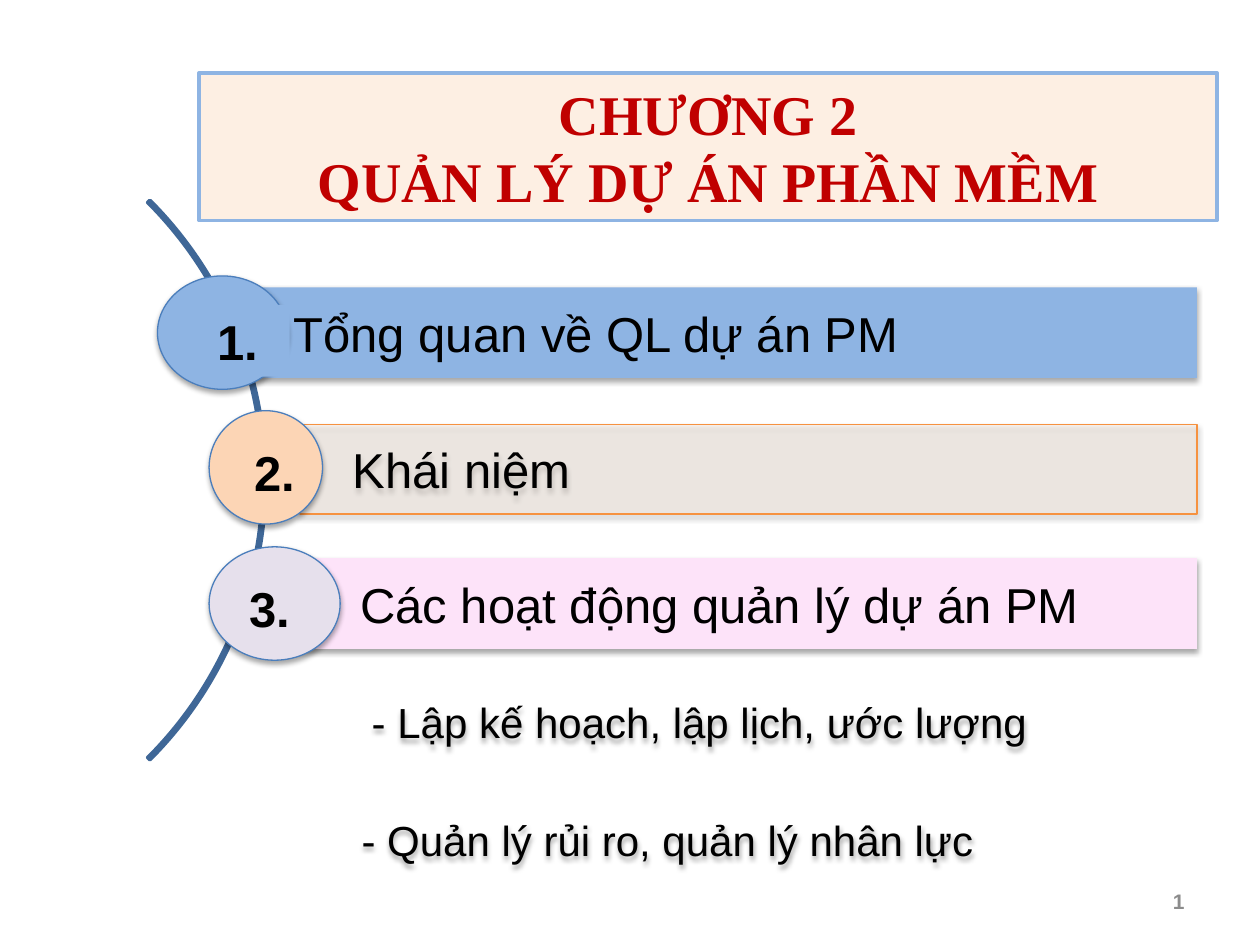
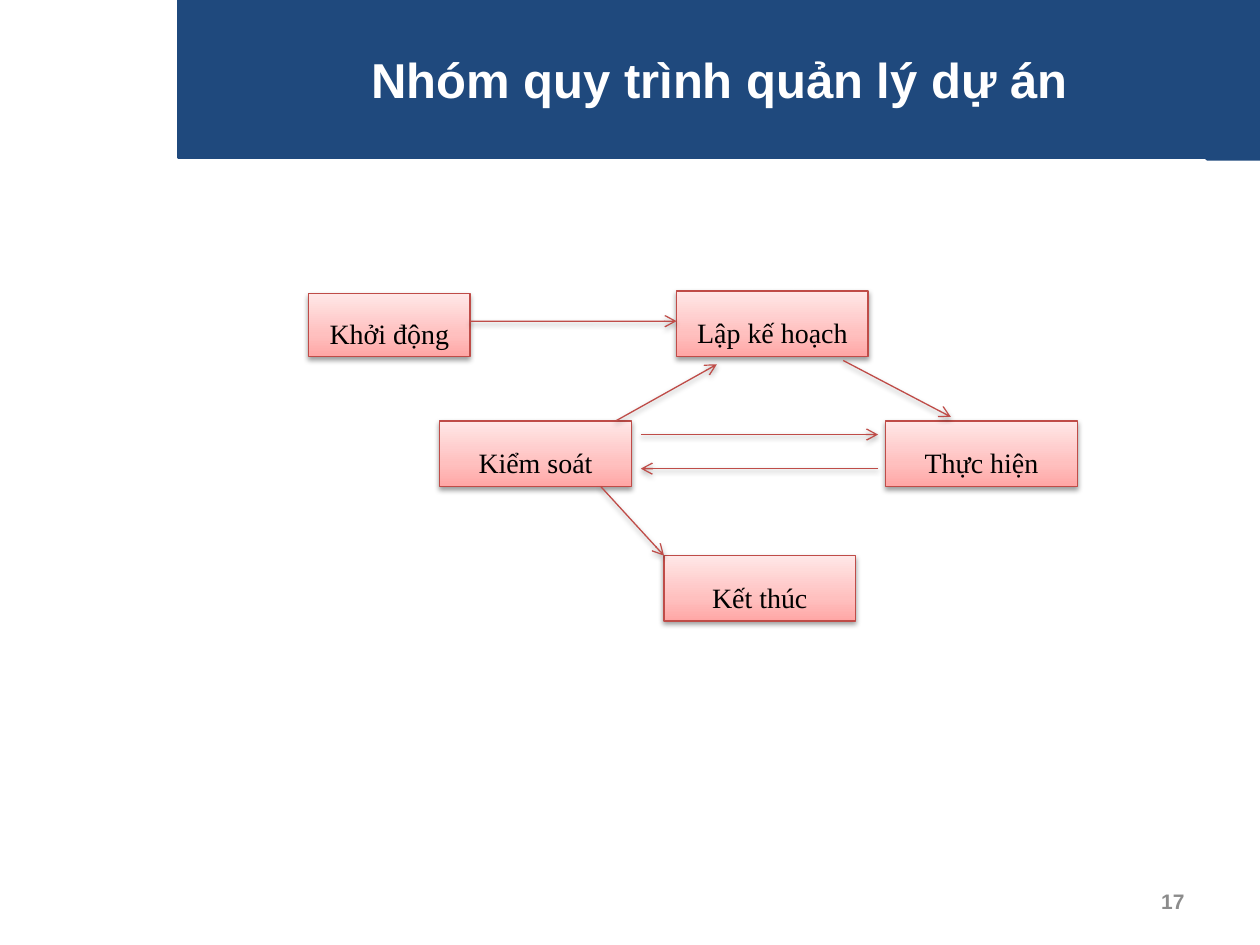
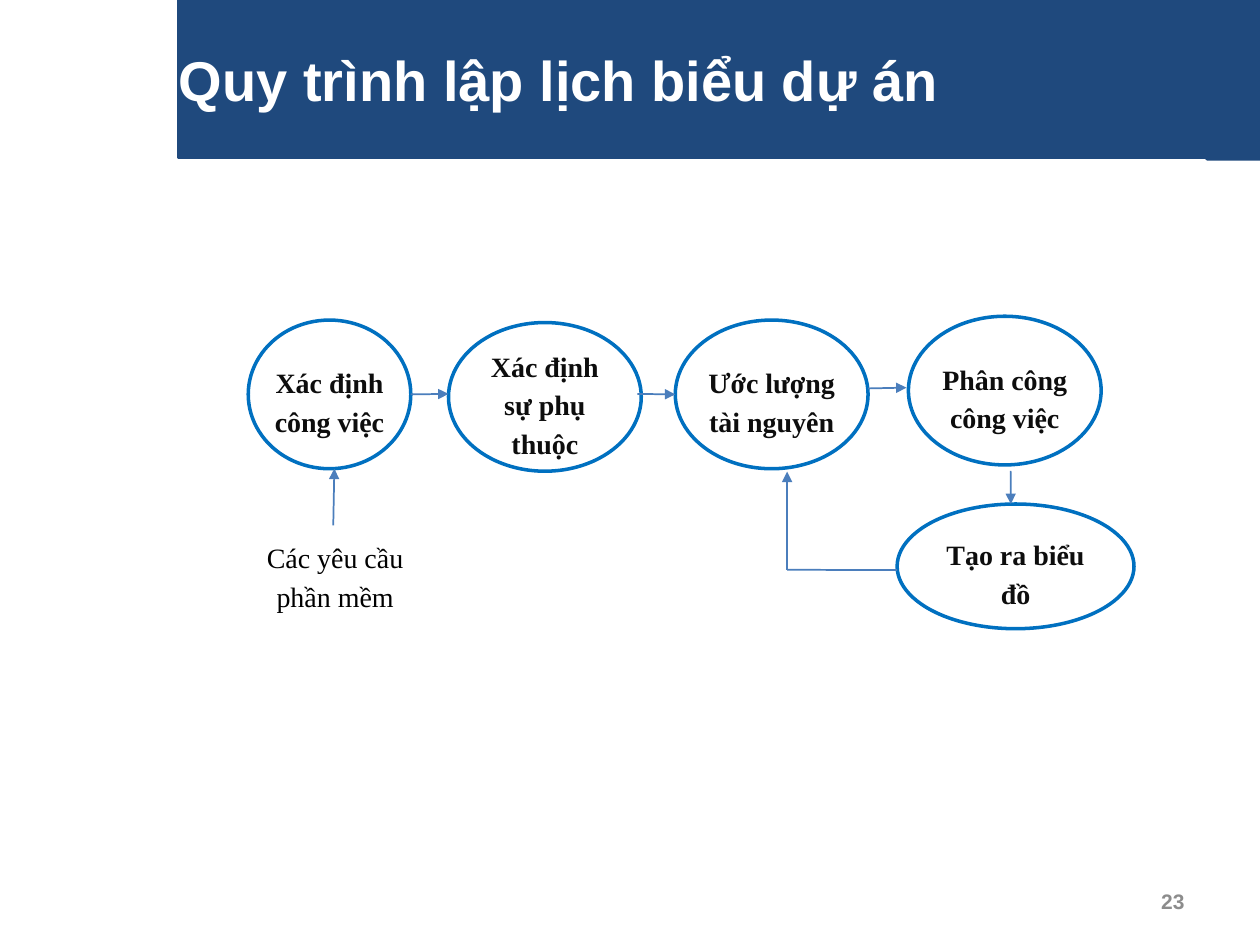
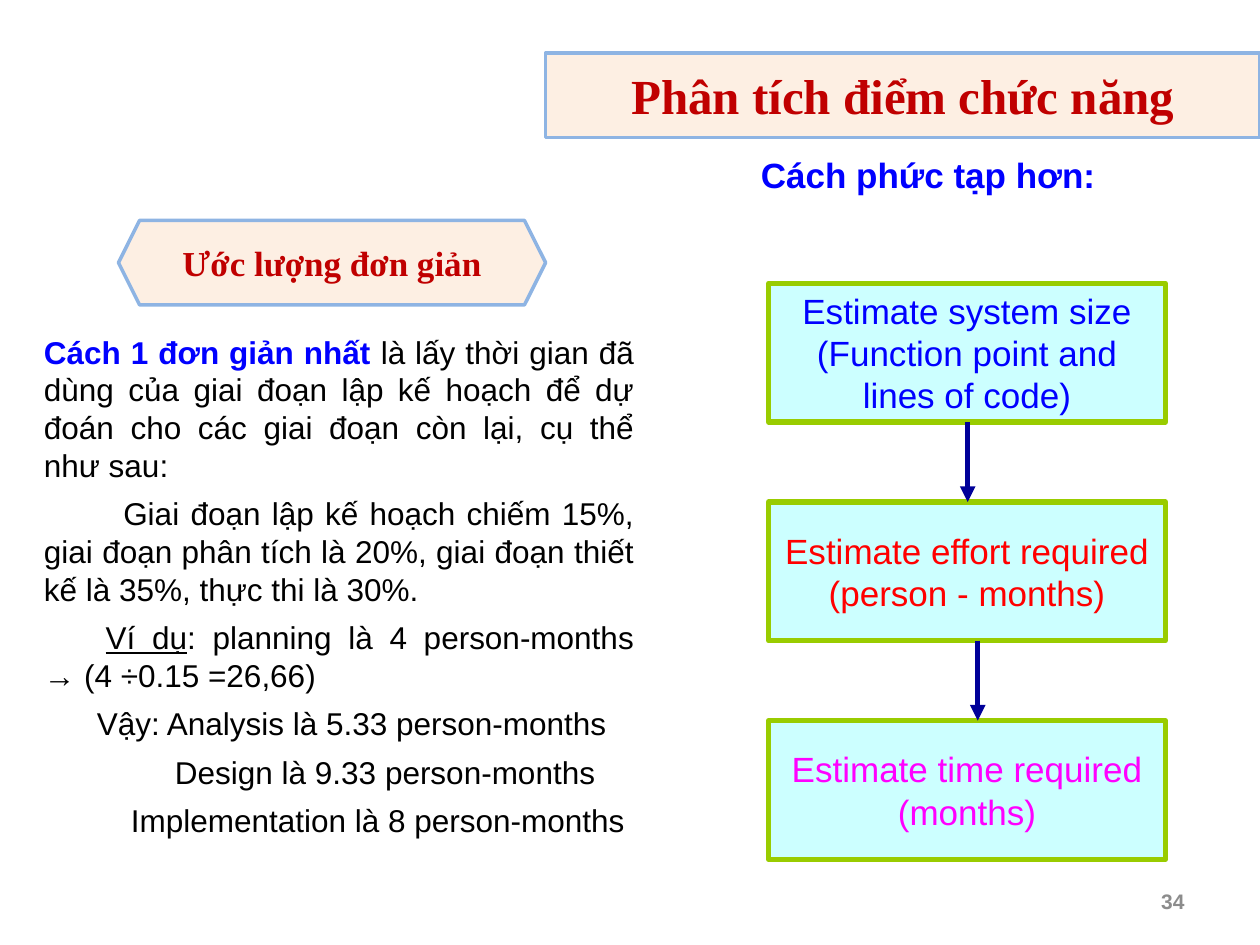
"""Build four slides on software project management."""
from dataclasses import dataclass

from lxml import etree
from pptx import Presentation
from pptx.dml.color import RGBColor
from pptx.enum.shapes import MSO_CONNECTOR, MSO_SHAPE
from pptx.enum.text import MSO_ANCHOR, MSO_AUTO_SIZE, PP_ALIGN
from pptx.oxml import parse_xml
from pptx.oxml.ns import nsdecls, qn
from pptx.util import Inches, Pt

RECT, OVAL, ARC = MSO_SHAPE.RECTANGLE, MSO_SHAPE.OVAL, MSO_SHAPE.BLOCK_ARC
TRIANGLE = MSO_SHAPE.RIGHT_TRIANGLE
STRAIGHT = MSO_CONNECTOR.STRAIGHT
LEFT, CENTER, RIGHT, JUSTIFY = PP_ALIGN.LEFT, PP_ALIGN.CENTER, PP_ALIGN.RIGHT, PP_ALIGN.JUSTIFY
TOP, MIDDLE = MSO_ANCHOR.TOP, MSO_ANCHOR.MIDDLE
NO_FIT = MSO_AUTO_SIZE.NONE
TITLE_ONLY = 5


@dataclass(frozen=True)
class Theme:
    """Hold colours, fonts and type sizes."""
    sans: str = "Arial"
    serif: str = "Times New Roman"
    black: str = "000000"
    ink: str = "0D0D0D"
    white: str = "FFFFFF"
    grey: str = "8C8C8C"
    navy: str = "1F497D"
    cream: str = "FDEFE3"
    sky: str = "8EB4E3"
    crimson: str = "C00000"
    blue: str = "0000FF"
    steel: str = "4B7EBC"
    arc: str = "3F6797"
    ring: str = "0070C0"
    brick: str = "BF4C48"
    orange: str = "F69240"
    aqua: str = "CCFFFF"
    lime: str = "99CC00"
    deep: str = "000099"
    huge: int = 32
    large: int = 28
    medium: int = 24
    body: int = 20
    text: int = 18
    small: int = 16
    tiny: int = 12


T = Theme()
WIDTH, HEIGHT = 10, 7.5
BAND = (1.42, 0, 8.58, 1.25)
PAD = (0.1, 0.05, 0.1, 0.05)
BAR_PAD = (0.57, 0.07, 0.07, 0.07)
BLUSH = [(0, "FFA6A5"), (35, "FFC0BF"), (100, "FFE7E7")]

CHAPTER = "CHƯƠNG 2\nQUẢN LÝ DỰ ÁN PHẦN MỀM"
TOPICS = [
    dict(text="Tổng quan về QL dự án PM", bar=(1.76, 2.28, 7.74, 0.72), bar_fill=T.sky,
         number="1.", disc=(1.25, 2.19, 1.03, 0.9), disc_fill=T.sky,
         label=(1.63, 2.42, 0.67, 0.57), label_fill=T.sky),
    dict(text="Các hoạt động quản lý dự án PM", bar=(2.18, 4.43, 7.32, 0.72), bar_fill="FDE3F9",
         inset=0.68, number="3.", disc=(1.66, 4.34, 1.04, 0.9), disc_fill="E6E0EC",
         label=(1.88, 4.54, 0.67, 0.57)),
    dict(text="Khái niệm", bar=(2.38, 3.37, 7.12, 0.71), bar_fill="FDEADA", bar_line=T.orange,
         alpha=30, inset=0.42, number="2.", disc=(1.66, 3.26, 0.9, 0.9), disc_fill="FCD5B5",
         label=(1.92, 3.46, 0.58, 0.57)),
]
SUBTOPICS = [
    ("- Lập kế hoạch, lập lịch, ước lượng", (2.38, 5.37, 5.95, 0.72)),
    ("- Quản lý rủi ro, quản lý nhân lực", (2.3, 6.3, 5.67, 0.72)),
]

PHASES = {
    "Khởi động": (2.45, 2.33, 1.28, 0.5),
    "Lập kế hoạch": (5.37, 2.31, 1.52, 0.52),
    "Kiểm soát": (3.49, 3.34, 1.52, 0.52),
    "Thực hiện": (7.03, 3.34, 1.52, 0.52),
    "Kết thúc": (5.27, 4.41, 1.52, 0.52),
}
PHASE_LINKS = [
    ("Khởi động", (1, 0.44), "Lập kế hoạch", (0, 0.46)),
    ("Kiểm soát", (1.05, 0.21), "Thực hiện", (-0.04, 0.21)),
    ("Thực hiện", (-0.04, 0.73), "Kiểm soát", (1.05, 0.73)),
    ("Kiểm soát", (0.92, 0), "Lập kế hoạch", (0.21, 1.12)),
    ("Lập kế hoạch", (0.87, 1.06), "Thực hiện", (0.34, -0.06)),
    ("Kiểm soát", (0.84, 1), "Kết thúc", (0, 0)),
]

STEPS = {
    "Xác định công việc": (1.97, 2.54, 1.29, 1.18),
    "Xác định sự phụ thuộc": (3.56, 2.56, 1.53, 1.18),
    "Ước lượng tài nguyên": (5.36, 2.54, 1.53, 1.18),
    "Tạo ra biểu đồ": (7.12, 4, 1.88, 0.99),
    "Phân công công việc": (7.21, 2.51, 1.53, 1.18),
}
INPUTS = {"Các yêu cầu phần mềm": (1.91, 4.17, 1.5, 0.77)}
LOOP_CORNER = (0.58, 1.68)
STEP_LINKS = [
    ("Xác định công việc", (1, 0.5), "Xác định sự phụ thuộc", (0, 0.48)),
    ("Xác định sự phụ thuộc", (0.98, 0.48), "Ước lượng tài nguyên", (0, 0.5)),
    ("Ước lượng tài nguyên", (1, 0.46), "Phân công công việc", (-0.01, 0.48)),
    ("Phân công công việc", (0.53, 1.04), "Tạo ra biểu đồ", (0.48, 0)),
    ("Ước lượng tài nguyên", LOOP_CORNER, "Ước lượng tài nguyên", (0.58, 1.02)),
    ("Các yêu cầu phần mềm", (0.49, 0), "Xác định công việc", (0.53, 1)),
]
LOOP_LINKS = [("Tạo ra biểu đồ", (0, 0.53), "Ước lượng tài nguyên", LOOP_CORNER)]

ESTIMATES = [
    ("Estimate system size\n(Function point and\nlines of code)", T.blue),
    ("Estimate effort required\n(person - months)", "FF0000"),
    ("Estimate time required\n(months)", "FF00FF"),
]
ESTIMATE_ARROWS = [7.68, 7.76]
EXAMPLE = [
    (0, [("Cách 1 đơn giản nhất ", "lead"),
         ("là lấy thời gian đã dùng của giai đoạn lập kế hoạch để dự đoán cho các giai đoạn "
          "còn lại, cụ thể như sau:", "plain")]),
    (0.63, [("Giai đoạn lập kế hoạch chiếm 15%, giai đoạn phân tích là 20%, giai đoạn thiết kế "
             "là 35%, thực thi là 30%.", "plain")]),
    (0.49, [("Ví dụ", "underlined"),
            (": planning là 4 person-months → (4 ÷0.15 =26,66)", "plain")]),
    (0.42, [("Vậy: Analysis là 5.33 person-months", "plain")]),
    (1.04, [("Design là 9.33 person-months", "plain")]),
    (0.69, [("Implementation là 8 person-months", "plain")]),
]


def rgb(color):
    """Turn a hex colour into an RGBColor."""
    return RGBColor.from_string(color)


def paint(shape, fill=None, line=None, weight=0.75):
    """Set fill and outline, None meaning no paint."""
    if fill:
        shape.fill.solid()
        shape.fill.fore_color.rgb = rgb(fill)
    else:
        shape.fill.background()
    if line:
        shape.line.color.rgb = rgb(line)
        shape.line.width = Pt(weight)
    else:
        shape.line.fill.background()


def style_font(run, size, color, font, bold=False):
    """Format one run."""
    run.font.size, run.font.name, run.font.bold = Pt(size), font, bold
    run.font.color.rgb = rgb(color)


def prepare_frame(shape, pad=PAD, anchor=MIDDLE, wrap=True):
    """Set margins, anchor and wrapping, and return the text frame."""
    frame = shape.text_frame
    frame.auto_size, frame.word_wrap, frame.vertical_anchor = NO_FIT, wrap, anchor
    (frame.margin_left, frame.margin_top,
     frame.margin_right, frame.margin_bottom) = map(Inches, pad)
    return frame


def write(shape, text, size, color=T.black, font=T.sans, bold=False, align=LEFT,
          spacing=None, **frame_options):
    """Fill a shape with evenly formatted text."""
    frame = prepare_frame(shape, **frame_options)
    frame.text = text
    for paragraph in frame.paragraphs:
        paragraph.alignment = align
        paragraph.line_spacing = spacing
        for run in paragraph.runs:
            style_font(run, size, color, font, bold)


def add_part(slide, kind, box, fill=None, line=None, weight=0.75):
    """Add a flat preset shape."""
    part = slide.shapes.add_shape(kind, *map(Inches, box))
    part.shadow.inherit = False
    paint(part, fill, line, weight)
    return part


def cast_shadow(part, alpha=35, distance=1.8):
    """Drop a soft shadow straight below a part."""
    effects = part._element.spPr.find(qn("a:effectLst"))
    effects.append(parse_xml(
        f'<a:outerShdw {nsdecls("a")} blurRad="{Pt(3.1)}" dist="{Pt(distance)}" dir="5400000" '
        f'rotWithShape="0"><a:srgbClr val="{T.black}"><a:alpha val="{alpha * 1000}"/>'
        '</a:srgbClr></a:outerShdw>'))


def fade(part, percent):
    """Make a solid fill partly transparent."""
    color = part._element.spPr.find(qn("a:solidFill"))[0]
    etree.SubElement(color, qn("a:alpha"), val=str(percent * 1000))


def shade(part, stops):
    """Replace the empty fill by a gradient running upwards."""
    marks = "".join(f'<a:gs pos="{at * 1000}"><a:srgbClr val="{color}"/></a:gs>'
                    for at, color in stops)
    properties = part._element.spPr
    properties.replace(properties.find(qn("a:noFill")), parse_xml(
        f'<a:gradFill {nsdecls("a")} rotWithShape="1"><a:gsLst>{marks}</a:gsLst>'
        '<a:lin ang="16200000" scaled="0"/></a:gradFill>'))


def add_arrow(slide, start, end, color, weight, head="triangle"):
    """Draw a straight line with an optional arrowhead."""
    arrow = slide.shapes.add_connector(STRAIGHT, *map(Inches, (*start, *end)))
    arrow.line.color.rgb = rgb(color)
    arrow.line.width = Pt(weight)
    if head:
        etree.SubElement(arrow.line._get_or_add_ln(), qn("a:tailEnd"), type=head)
    etree.SubElement(arrow._element.spPr, qn("a:effectLst"))
    return arrow


def link_nodes(slide, nodes, links, color, weight, head):
    """Join nodes at points given as shares of their boxes."""
    def point(name, share):
        left, top, width, height = nodes[name]
        return left + share[0] * width, top + share[1] * height
    return [add_arrow(slide, point(source, out), point(target, into), color, weight, head)
            for source, out, target, into in links]


def start_slide(deck, title, outline, box, fill, line, number, **text_options):
    """Add a slide with a shaped title and a page number."""
    slide = deck.slides.add_slide(deck.slide_layouts[TITLE_ONLY])
    heading = slide.shapes.title
    heading.left, heading.top, heading.width, heading.height = map(Inches, box)
    geometry = etree.SubElement(heading._element.spPr, qn("a:prstGeom"), prst=outline)
    etree.SubElement(geometry, qn("a:avLst"))
    paint(heading, fill, line, 2)
    write(heading, title, bold=True, **text_options)
    page = slide.shapes.add_textbox(*map(Inches, (7.17, 6.95, 2.33, 0.4)))
    write(page, number, T.tiny, T.grey, bold=True, align=RIGHT)
    return slide


def start_hexagon_slide(deck, title, box, size, number):
    """Add a slide titled in a cream hexagon."""
    return start_slide(deck, title, "hexagon", box, T.cream, T.sky, number,
                       size=size, color=T.crimson, font=T.serif, align=CENTER)


def start_band_slide(deck, title, size, align, number):
    """Add a slide titled in the navy top band."""
    slide = start_slide(deck, title, "parallelogram", BAND, T.navy, T.navy, number,
                        size=size, color=T.white, align=align, pad=(0, 0.05, 0, 0.05))
    corner = add_part(slide, TRIANGLE, (WIDTH - 0.42, 0.01, 0.42, 1.25), T.navy, T.navy, 2)
    corner._element.spPr.find(qn("a:xfrm")).set("flipH", "1")
    return slide


def build_chapter(deck):
    """Build the chapter overview."""
    slide = start_hexagon_slide(deck, CHAPTER, (1.58, 0.58, 8.08, 1.17), T.huge, "1")
    arc = add_part(slide, ARC, (-4.17, 0.67, 6.28, 6.28), None, T.arc, 2)
    for index, value in enumerate((189, 27, 0.004)):
        arc.adjustments[index] = value
    for topic in TOPICS:
        bar = add_part(slide, RECT, topic["bar"], topic["bar_fill"], topic.get("bar_line"))
        if "alpha" in topic:
            fade(bar, topic["alpha"])
        cast_shadow(bar)
        write(bar, topic["text"], T.large, pad=(topic.get("inset", BAR_PAD[0]), *BAR_PAD[1:]))
        cast_shadow(add_part(slide, OVAL, topic["disc"], topic["disc_fill"], T.steel))
        label = add_part(slide, RECT, topic["label"], topic.get("label_fill"))
        write(label, topic["number"], T.large, bold=True, anchor=TOP)
    for text, box in SUBTOPICS:
        subtopic = add_part(slide, RECT, box)
        cast_shadow(subtopic)
        write(subtopic, text, T.medium, pad=BAR_PAD)


def build_phases(deck):
    """Build the diagram of process groups."""
    slide = start_band_slide(deck, "Nhóm quy trình quản lý dự án", T.large, CENTER, "17")
    for name, box in PHASES.items():
        phase = add_part(slide, RECT, box, None, T.brick)
        shade(phase, BLUSH)
        cast_shadow(phase, 38, 1.6)
        write(phase, name, T.small, font=T.serif, align=CENTER, spacing=1.2,
              pad=(0.1, 0.13, 0.1, 0.05))
    for arrow in link_nodes(slide, PHASES, PHASE_LINKS, T.brick, 0.75, "arrow"):
        cast_shadow(arrow, 38, 1.6)


def build_schedule(deck):
    """Build the scheduling process."""
    slide = start_band_slide(deck, "Quy trình lập lịch biểu dự án", T.huge, LEFT, "23")
    shared = dict(size=T.small, font=T.serif, align=CENTER, spacing=1.15, pad=(0, 0.08, 0, 0))
    for name, box in STEPS.items():
        write(add_part(slide, OVAL, box, None, T.ring, 2), name, color=T.ink, bold=True, **shared)
    for name, box in INPUTS.items():
        write(add_part(slide, RECT, box, T.white), name, anchor=TOP, **shared)
    nodes = STEPS | INPUTS
    link_nodes(slide, nodes, STEP_LINKS, T.steel, 1, "triangle")
    link_nodes(slide, nodes, LOOP_LINKS, T.steel, 1, None)


def write_example(slide):
    """Write the worked example with first-line indents."""
    example = slide.shapes.add_textbox(*map(Inches, (0.25, 2.59, 4.88, 4.16)))
    frame = prepare_frame(example, anchor=TOP)
    for index, (indent, pieces) in enumerate(EXAMPLE):
        paragraph = frame.add_paragraph() if index else frame.paragraphs[0]
        paragraph.alignment = JUSTIFY
        if index:
            paragraph.space_before = Pt(6)
        paragraph._p.get_or_add_pPr().set("indent", str(Inches(indent)))
        for text, role in pieces:
            run = paragraph.add_run()
            run.text = text
            lead = role == "lead"
            style_font(run, T.text, T.blue if lead else T.black, T.sans, lead)
            run.font.underline = role == "underlined"


def build_estimates(deck):
    """Build the function point analysis."""
    slide = start_hexagon_slide(deck, "Phân tích điểm chức năng", (4.33, 0.42, 5.67, 0.67),
                                T.large, "34")
    left, top, width, height, pitch = 6.1, 2.25, 3.15, 1.1, 1.735
    for row, (text, color) in enumerate(ESTIMATES):
        estimate = add_part(slide, RECT, (left, top + row * pitch, width, height),
                            T.aqua, T.lime, 3)
        write(estimate, text, T.body, color, align=CENTER, wrap=False)
    for row, x in enumerate(ESTIMATE_ARROWS):
        add_arrow(slide, (x, top + row * pitch + height), (x, top + (row + 1) * pitch), T.deep, 3)
    write_example(slide)
    simple = add_part(slide, MSO_SHAPE.HEXAGON, (0.94, 1.75, 3.39, 0.67), T.cream, T.sky, 2)
    write(simple, "Ước lượng đơn giản", T.body, T.crimson, T.serif, True, CENTER)
    complex_way = slide.shapes.add_textbox(*map(Inches, (5.94, 1.17, 3.47, 0.43)))
    write(complex_way, "Cách phức tạp hơn:", T.body, T.blue, bold=True, anchor=TOP)


def main():
    """Build and save the deck."""
    deck = Presentation()
    deck.slide_width, deck.slide_height = Inches(WIDTH), Inches(HEIGHT)
    for build in (build_chapter, build_phases, build_schedule, build_estimates):
        build(deck)
    deck.save("out.pptx")


if __name__ == "__main__":
    main()
